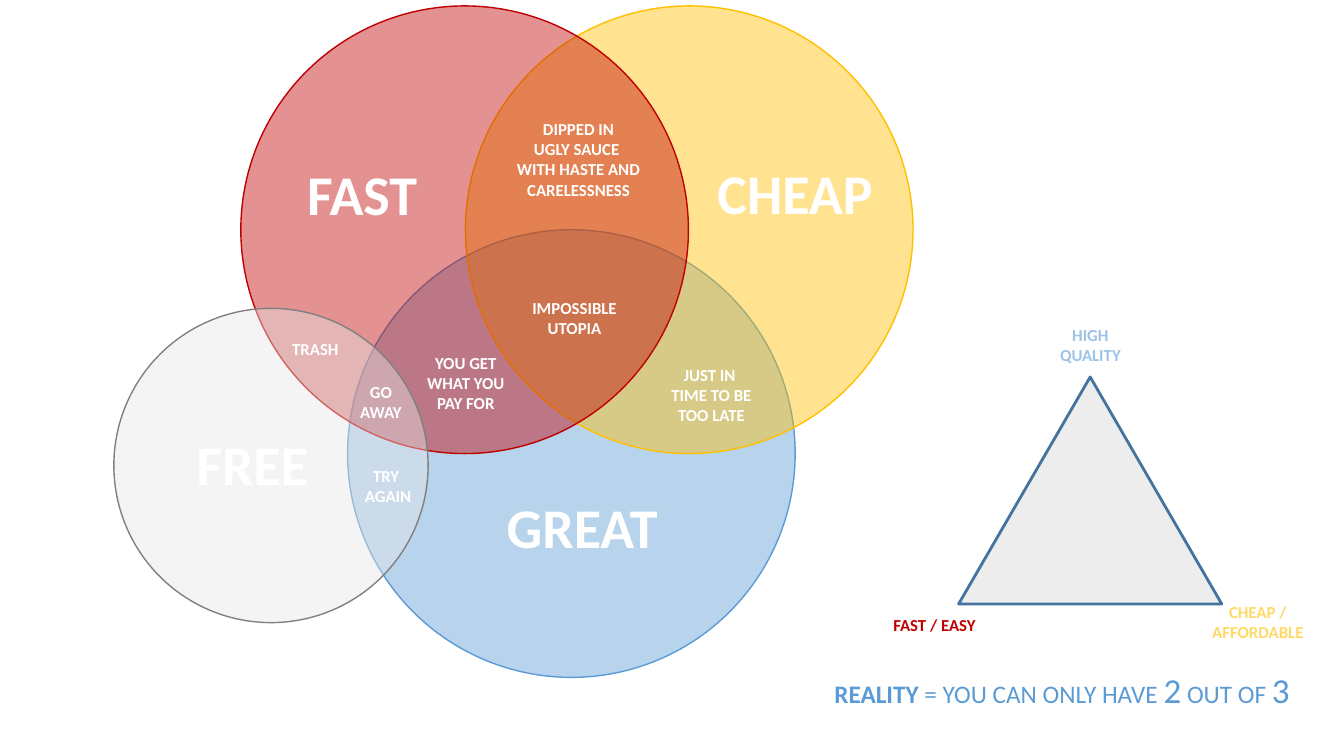
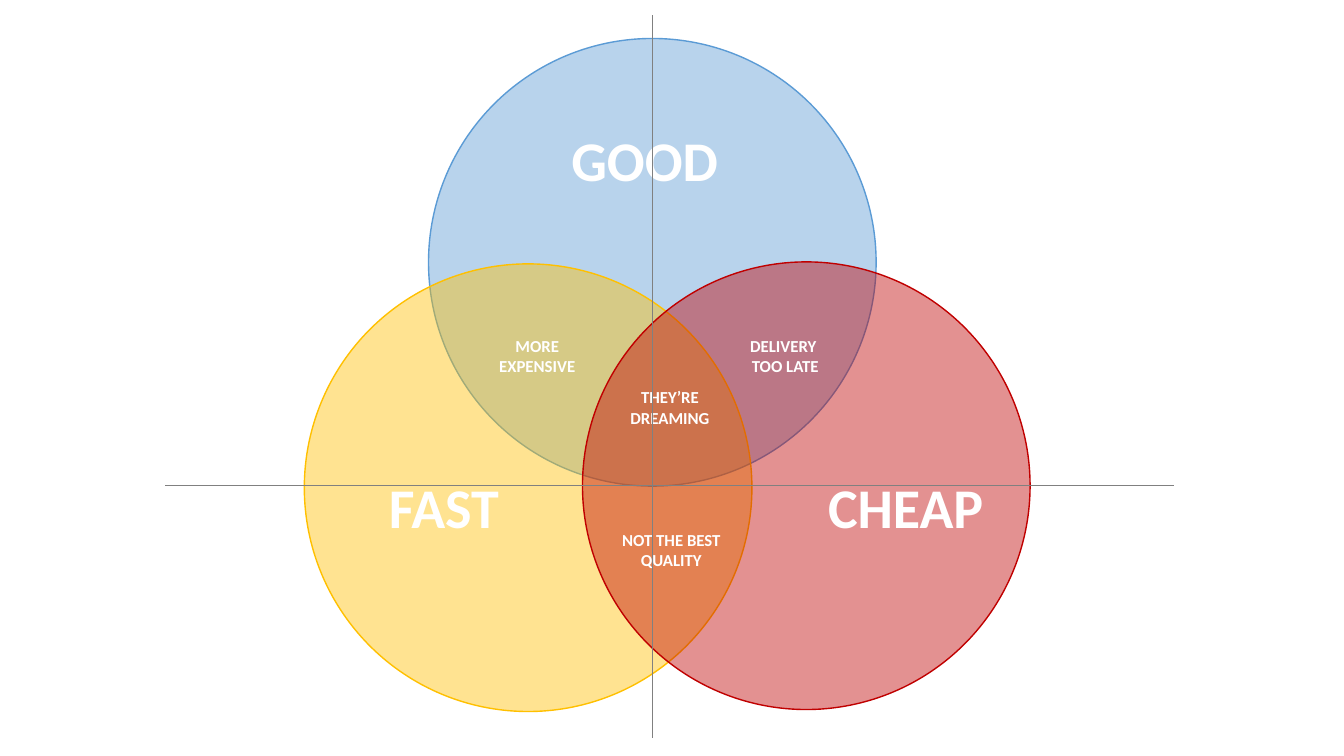
from dataclasses import dataclass

from lxml.etree import SubElement
from pptx import Presentation
from pptx.dml.color import RGBColor
from pptx.enum.shapes import MSO_CONNECTOR as Connector, MSO_SHAPE as Shape
from pptx.enum.text import PP_ALIGN as Align
from pptx.oxml.ns import qn
from pptx.util import Cm, Pt


@dataclass(frozen=True)
class Theme:
    font: str = "Calibri"
    white: str = "FFFFFF"
    blue: str = "5B9BD5"
    light_blue: str = "9DC3E6"
    dark_blue: str = "43739E"
    yellow: str = "FFC000"
    light_yellow: str = "FFD966"
    red: str = "C00000"
    pale: str = "E7E6E6"
    panel: str = "EDEDED"
    grey: str = "808080"
    heading_size: float = 40
    digit_size: float = 25
    sentence_size: float = 18
    note_size: float = 12
    opacity: int = 43
    circle: float = 11.28


class VennDeck:
    def __init__(self, theme):
        self.theme = theme
        self.presentation = Presentation()
        self.presentation.slide_width = Cm(33.87)
        self.presentation.slide_height = Cm(19.05)
        self.slide = None

    def new_slide(self):
        blank = self.presentation.slide_layouts[6]
        self.slide = self.presentation.slides.add_slide(blank)

    def outlined(self, kind, left, top, width, height, fill, line, weight):
        shape = self.slide.shapes.add_shape(
            kind, Cm(left), Cm(top), Cm(width), Cm(height))
        shape.shadow.inherit = False
        shape.fill.solid()
        shape.fill.fore_color.rgb = RGBColor.from_string(fill)
        shape.line.color.rgb = RGBColor.from_string(line)
        shape.line.width = Pt(weight)
        return shape

    def circle(self, left, top, color, line=None, size=None):
        size = size or self.theme.circle
        shape = self.outlined(Shape.OVAL, left, top, size, size,
                              color, line or color, 1)
        fill_color = next(shape.element.spPr.iter(qn("a:srgbClr")))
        SubElement(fill_color, qn("a:alpha"), val=str(self.theme.opacity * 1000))

    def triangle(self, left, top, width, height):
        self.outlined(Shape.ISOSCELES_TRIANGLE, left, top, width, height,
                      self.theme.panel, self.theme.dark_blue, 2)

    def text_box(self, left, top, width, height, size, color):
        box = self.slide.shapes.add_textbox(
            Cm(left), Cm(top), Cm(width), Cm(height))
        box.text_frame.word_wrap = True
        paragraph = box.text_frame.paragraphs[0]
        paragraph.font.name = self.theme.font
        paragraph.font.size = Pt(size)
        paragraph.font.color.rgb = RGBColor.from_string(color)
        return paragraph

    def heading(self, text, left, top):
        paragraph = self.text_box(left, top, 5.36, 1.96,
                                  self.theme.heading_size, self.theme.white)
        paragraph.text = text
        paragraph.font.bold = True

    def note(self, text, left, top, width=3.1, color=None):
        height = 0.25 + 0.51 * len(text.split("\v"))
        paragraph = self.text_box(left, top, width, height,
                                  self.theme.note_size, color or self.theme.white)
        paragraph.text = text
        paragraph.font.bold = True
        paragraph.alignment = Align.CENTER

    def sentence(self, parts, left, top, width, height):
        paragraph = self.text_box(left, top, width, height,
                                  self.theme.sentence_size, self.theme.blue)
        for text, size, bold in parts:
            run = paragraph.add_run()
            run.text = text
            run.font.size = Pt(size)
            run.font.bold = bold

    def axis(self, x1, y1, x2, y2):
        line = self.slide.shapes.add_connector(
            Connector.STRAIGHT, Cm(x1), Cm(y1), Cm(x2), Cm(y2))
        line.line.color.rgb = RGBColor.from_string(self.theme.grey)
        line.line.width = Pt(0.5)
        SubElement(line.element.spPr, qn("a:effectLst"))


theme = Theme()
deck = VennDeck(theme)

# Slide 1: four circles
deck.new_slide()
deck.circle(8.76, 5.79, theme.blue)
deck.circle(11.73, 0.15, theme.yellow)
deck.circle(6.07, 0.15, theme.red)
deck.circle(2.87, 7.77, theme.pale, line=theme.grey, size=7.92)

for text, left, top in [("CHEAP", 17.83, 3.86), ("FAST", 7.49, 3.89),
                        ("GREAT", 12.52, 12.29), ("FREE", 4.7, 10.69)]:
    deck.heading(text, left, top)

# Overlaps
for text, left, top, width in [
    ("JUST IN \vTIME TO BE\vTOO LATE", 16.38, 9.07, 3.1),
    ("IMPOSSIBLE\vUTOPIA", 12.93, 7.37, 3.1),
    ("YOU GET\vWHAT YOU\vPAY FOR", 10.19, 8.76, 3.1),
    ("TRY \vAGAIN", 8.61, 11.61, 2.34),
    ("TRASH", 6.83, 8.41, 2.24),
    ("GO\vAWAY", 8.05, 9.5, 3.1),
    ("DIPPED IN\vUGLY SAUCE \vWITH HASTE AND\vCARELESSNESS", 12.7, 2.87, 3.76),
]:
    deck.note(text, left, top, width)

# Triangle with its corners and the conclusion
deck.triangle(24.16, 9.5, 6.63, 5.72)
deck.note("HIGH\vQUALITY", 25.93, 8.05, color=theme.light_blue)
deck.note("FAST / EASY", 22, 15.37, color=theme.red)
deck.note("CHEAP /\vAFFORDABLE", 30.15, 15.04, color=theme.light_yellow)
deck.sentence([
    ("REALITY", theme.sentence_size, True),
    (" = YOU CAN ONLY HAVE ", theme.sentence_size, False),
    ("2", theme.digit_size, False),
    (" OUT OF ", theme.sentence_size, False),
    ("3", theme.digit_size, False),
], 20.78, 16.71, 13, 1.32)

# Slide 2: three circles on axes
deck.new_slide()
deck.circle(10.8, 0.97, theme.blue)
deck.circle(7.67, 6.65, theme.yellow)
deck.circle(14.68, 6.6, theme.red)

for text, left, top in [("CHEAP", 20.62, 11.79), ("FAST", 9.55, 11.79),
                        ("GOOD", 14.15, 3.05)]:
    deck.heading(text, left, top)

# Overlaps
for text, left, top, width in [
    ("NOT THE BEST\vQUALITY", 15.37, 13.23, 3.1),
    ("THEY’RE\vDREAMING", 15.6, 9.63, 2.57),
    ("DELIVERY \vTOO LATE", 18.62, 8.33, 2.34),
    ("MORE\vEXPENSIVE", 12.17, 8.33, 2.74),
]:
    deck.note(text, left, top, width)

# Axes
deck.axis(16.43, 0.38, 16.43, 18.59)
deck.axis(4.17, 12.24, 29.59, 12.24)

deck.presentation.save("out.pptx")
